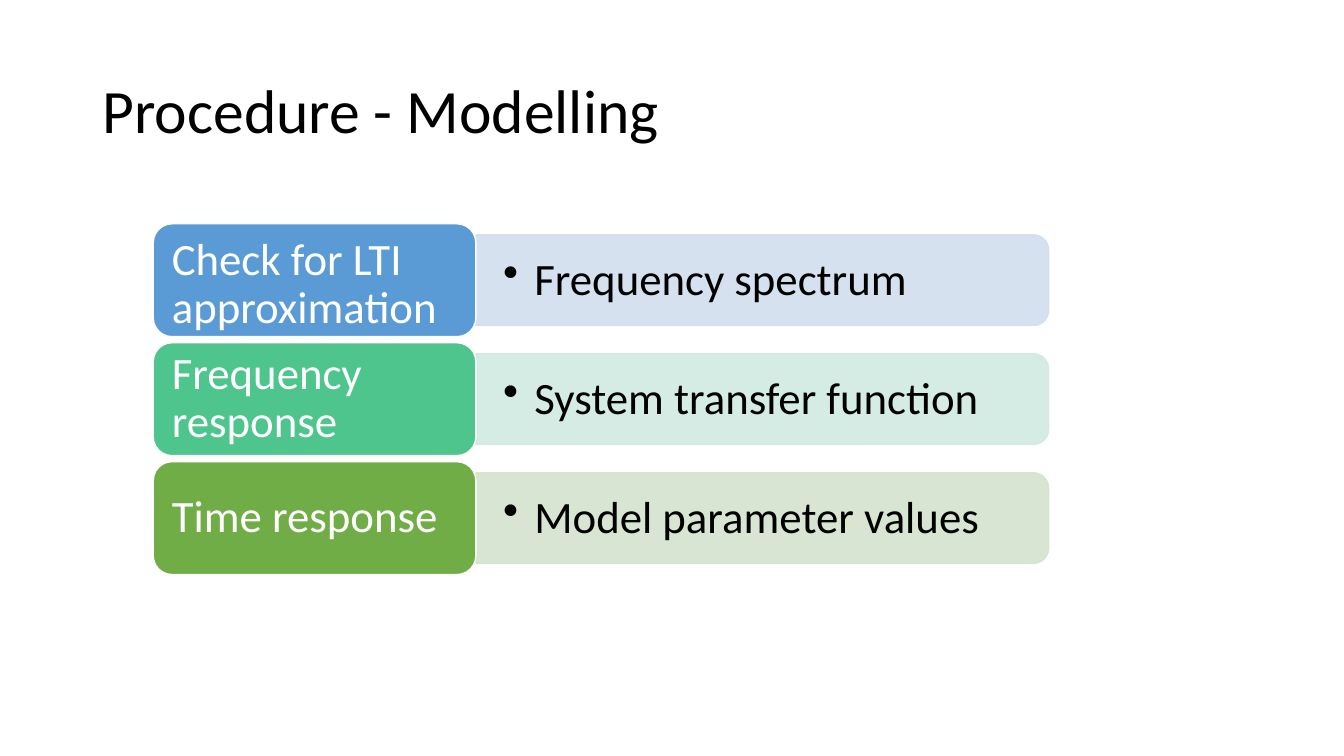
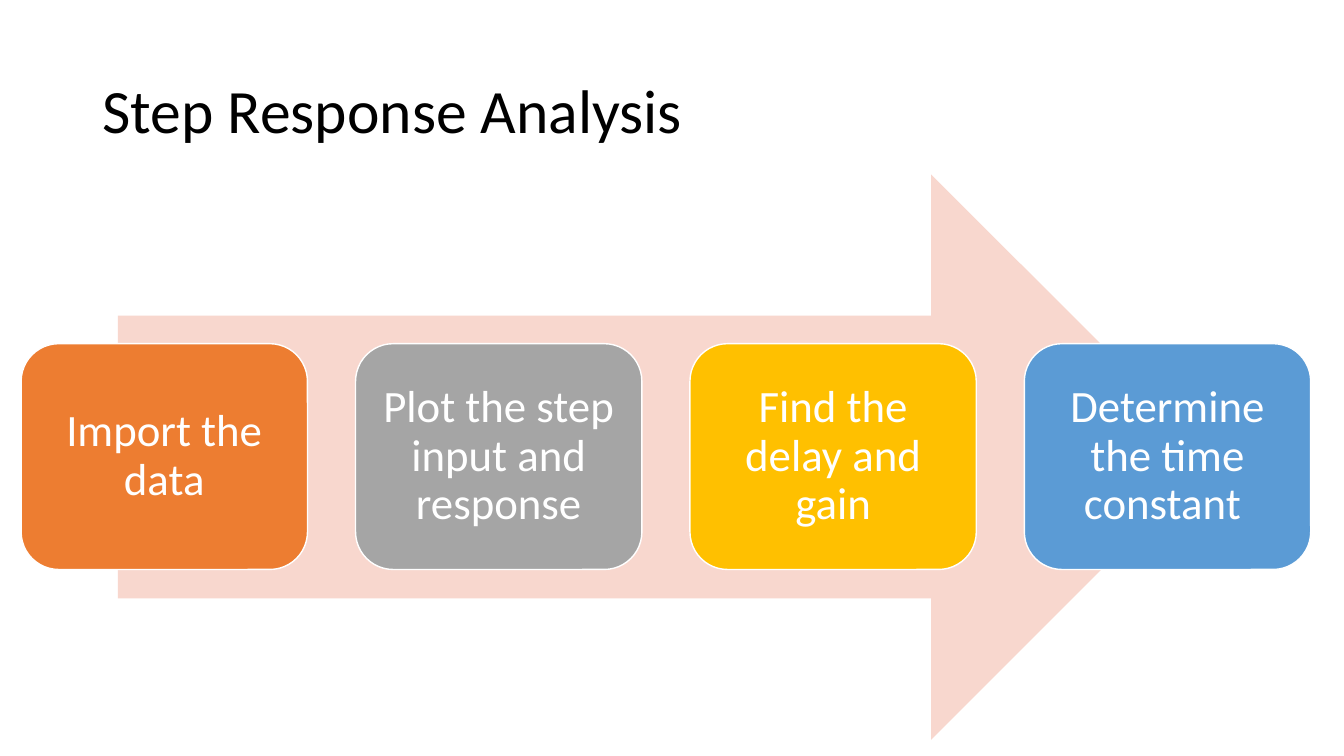
import dataclasses

import pptx
import pptx.dml.color
import pptx.enum.shapes
import pptx.enum.text
import pptx.oxml.ns
import pptx.util
from lxml import etree

Inches = pptx.util.Inches
Pt = pptx.util.Pt
RGB = pptx.dml.color.RGBColor.from_string
SHAPE = pptx.enum.shapes.MSO_SHAPE
ALIGN = pptx.enum.text.PP_ALIGN
ANCHOR = pptx.enum.text.MSO_ANCHOR
qn = pptx.oxml.ns.qn


@dataclasses.dataclass(frozen=True)
class Theme:
    font: str = "Calibri"
    title_size: int = 44
    body_size: int = 32
    line_spacing: float = 0.9
    dark: str = "000000"
    light: str = "FFFFFF"
    blue: str = "5B9BD5"
    teal: str = "4DC58D"
    green: str = "70AD47"
    orange: str = "ED7D31"
    grey: str = "A5A5A5"
    gold: str = "FFC000"
    pale_blue: str = "D2DEEF"
    pale_teal: str = "D0EAE1"
    pale_green: str = "D5E3CF"
    pale_orange: str = "F8D7CE"


theme = Theme()


def add_box(s, kind, left, top, width, height, fill, line=None):
    sp = s.shapes.add_shape(kind, Inches(left), Inches(top), Inches(width), Inches(height))
    sp.shadow.inherit = False
    sp.fill.solid()
    sp.fill.fore_color.rgb = RGB(fill)
    if line:
        sp.line.color.rgb = RGB(line)
        sp.line.width = Pt(1)
    else:
        sp.line.fill.background()
    return sp


def set_text(sp, text, size, color, inset_x, inset_y, align=ALIGN.LEFT, anchor=ANCHOR.MIDDLE):
    tf = sp.text_frame
    tf.word_wrap = True
    tf.vertical_anchor = anchor
    tf.margin_left = tf.margin_right = Inches(inset_x)
    tf.margin_top = tf.margin_bottom = Inches(inset_y)
    p = tf.paragraphs[0]
    p.alignment = align
    p.line_spacing = theme.line_spacing
    r = p.add_run()
    r.text = text
    r.font.name = theme.font
    r.font.size = Pt(size)
    r.font.color.rgb = RGB(color)
    return p


prs = pptx.Presentation()
prs.slide_width = Inches(13.33)
prs.slide_height = Inches(7.5)

slides = []
for title in ("Procedure - Modelling", "Step Response Analysis"):
    s = prs.slides.add_slide(prs.slide_layouts[6])
    sp = s.shapes.add_textbox(Inches(0.92), Inches(0.4), Inches(11.5), Inches(1.45))
    set_text(sp, title, theme.title_size, theme.dark, 0.1, 0.05)
    slides.append(s)
modelling, analysis = slides

stages = [
    ("Check for LTI approximation", "Frequency spectrum", theme.blue, theme.pale_blue, ANCHOR.TOP),
    ("Frequency response", "System transfer function", theme.teal, theme.pale_teal, ANCHOR.MIDDLE),
    ("Time response", "Model parameter values", theme.green, theme.pale_green, ANCHOR.MIDDLE),
]
label_left, label_width, label_height = 1.52, 3.2, 1.12
bar_left, bar_width, bar_height = label_left + label_width, 5.68, 0.9
stage_top, stage_pitch = 2.22, 1.18
for i, (label, result, color, pale, anchor) in enumerate(stages):
    top = stage_top + i * stage_pitch
    middle = top + label_height / 2
    bar = add_box(modelling, SHAPE.ROUND_2_SAME_RECTANGLE,
                  bar_left + (bar_width - bar_height) / 2, middle - bar_width / 2,
                  bar_height, bar_width, pale, pale)
    bar.rotation = 90
    for clr in bar.element.spPr.iter(qn("a:srgbClr")):
        etree.SubElement(clr, qn("a:alpha"), val="90000")

    sp = modelling.shapes.add_textbox(Inches(bar_left), Inches(middle - 0.4), Inches(5.64), Inches(0.81))
    p = set_text(sp, result, theme.body_size, theme.dark, 0.27, 0.14)
    pPr = p._p.get_or_add_pPr()
    pPr.set("marL", str(Inches(0.31)))
    pPr.set("indent", str(Inches(-0.31)))
    etree.SubElement(pPr, qn("a:buChar"), char="•")

    sp = add_box(modelling, SHAPE.ROUNDED_RECTANGLE, label_left, top,
                 label_width, label_height, color, theme.light)
    set_text(sp, label, theme.body_size, theme.light, 0.13, 0.07, anchor=anchor)

add_box(analysis, SHAPE.RIGHT_ARROW, 1.17, 1.73, 10.87, 5.61, theme.pale_orange)

steps = [
    ("Import the data", theme.orange),
    ("Plot the step input and response", theme.grey),
    ("Find the delay and gain", theme.gold),
    ("Determine the time constant ", theme.blue),
]
row_left, row_right, step_width = 0.21, 13, 2.84
step_pitch = (row_right - row_left - step_width) / (len(steps) - 1)
for i, (step, color) in enumerate(steps):
    sp = add_box(analysis, SHAPE.ROUNDED_RECTANGLE, row_left + i * step_pitch, 3.41,
                 step_width, 2.24, color, theme.light)
    set_text(sp, step, theme.body_size, theme.light, 0.13, 0.13, ALIGN.CENTER)

prs.save("out.pptx")
